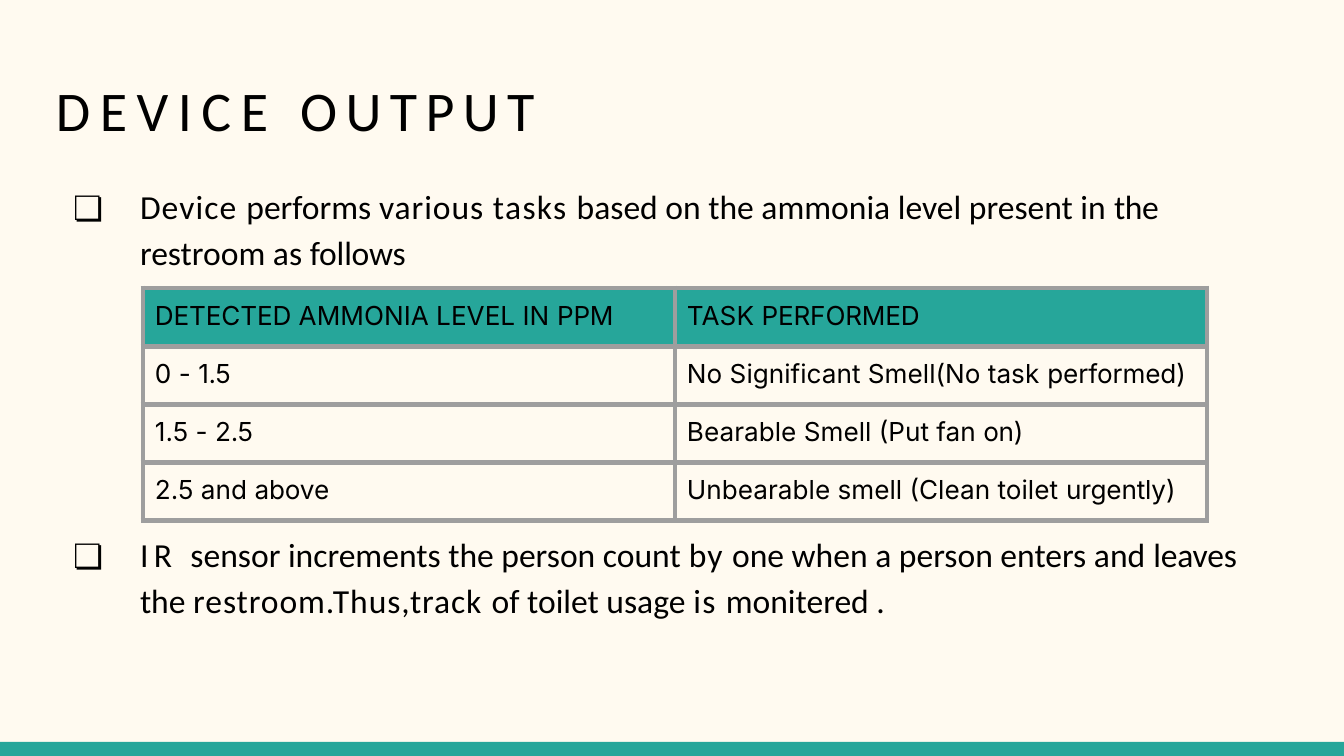
import pptx
import pptx.dml.color
import pptx.enum.shapes
import pptx.enum.text
import pptx.oxml.ns
import pptx.util
import lxml.etree

SLIDE_WIDTH, SLIDE_HEIGHT = 1344, 756
EMU_PER_PX = 9144000 / SLIDE_WIDTH
COLORS = {"cream": "FFFAF0", "teal": "26A69A", "border": "9E9E9E", "text": "000000"}

TITLE = [("DEVICE ", 5.1), ("OUTPUT", 4.5)]
AMMONIA_POINT = [
    ("Device ", 0.6), ("performs ", 0), ("various ", 0.5), ("tasks ", 0.7),
    ("based on the ammonia level present in ", 0), ("the ", -0.2),
    ("restroom as ", 0), ("follows", -0.1),
]
SENSOR_POINT = [
    ("IR ", 2.9), ("sensor increments the person count ", 0), ("by ", 0.5),
    ("one when a person enters and ", 0), ("leaves ", -0.1), ("the ", 0),
    ("restroom.Thus,track ", 0.5), ("of toilet usage ", 0), ("is ", 0.7),
    ("monitered .", 0),
]
TASK_ROWS = [
    [[("DETECTED ", -0.1), ("AMMONIA LEVEL IN ", 0), ("PPM", -0.2)],
     [("TASK ", 0), ("PERFORMED", -0.1)]],
    [[("0 - ", 0), ("1.5", -0.2)],
     [("No Significant Smell(No task ", 0), ("performed)", -0.1)]],
    [[("1.5 - ", 0), ("2.5", -0.2)],
     [("Bearable Smell (Put fan", 0), (" on)", -0.2)]],
    [[("2.5 and ", 0), ("above", -0.1)],
     [("Unbearable smell (Clean toilet ", 0), ("urgently)", -0.1)]],
]


def px(length):
    return pptx.util.Emu(round(length * EMU_PER_PX))


def color(name):
    return pptx.dml.color.RGBColor.from_string(COLORS[name])


def add_runs(paragraph, runs, font_name, size):
    paragraph.alignment = pptx.enum.text.PP_ALIGN.LEFT
    for text, spacing in runs:
        run = paragraph.add_run()
        run.text = text
        run.font.name = font_name
        run.font.size = pptx.util.Pt(size)
        run.font.bold = False
        run.font.color.rgb = color("text")
        run.font._element.set("spc", str(round(spacing * 100)))


def prepare_placeholder(shape, box):
    shape.left, shape.top, shape.width, shape.height = map(px, box)
    frame = shape.text_frame
    frame.margin_left = frame.margin_right = frame.margin_bottom = 0
    frame.margin_top = px(1)
    frame.word_wrap = True
    frame.auto_size = pptx.enum.text.MSO_AUTO_SIZE.NONE
    frame.vertical_anchor = pptx.enum.text.MSO_ANCHOR.TOP
    paragraph = frame.paragraphs[0]
    paragraph.space_before = pptx.util.Pt(1)
    return paragraph


def fill_title(shape, box):
    add_runs(prepare_placeholder(shape, box), TITLE, "Calibri", 30)


def fill_point(shape, box, runs):
    paragraph = prepare_placeholder(shape, box)
    paragraph.line_spacing = 1.15
    add_runs(paragraph, runs, "Calibri", 18)
    properties = paragraph._p.get_or_add_pPr()
    properties.set("marL", str(px(69)))
    properties.set("indent", str(px(-67)))
    for tag, attribute, value in (("a:buFont", "typeface", "Noto Sans CJK SC"),
                                  ("a:buChar", "char", "❏")):
        bullet = lxml.etree.SubElement(properties, pptx.oxml.ns.qn(tag))
        bullet.set(attribute, value)


def add_borders(cell):
    properties = cell._tc.get_or_add_tcPr()
    for side in ("a:lnL", "a:lnR", "a:lnT", "a:lnB"):
        line = lxml.etree.SubElement(properties, pptx.oxml.ns.qn(side))
        line.set("w", str(pptx.util.Pt(3)))
        fill = lxml.etree.SubElement(line, pptx.oxml.ns.qn("a:solidFill"))
        rgb = lxml.etree.SubElement(fill, pptx.oxml.ns.qn("a:srgbClr"))
        rgb.set("val", COLORS["border"])


def add_task_table(slide, box):
    row_count, column_count = len(TASK_ROWS), len(TASK_ROWS[0])
    table = slide.shapes.add_table(row_count, column_count, *map(px, box)).table
    table.first_row = False
    table.horz_banding = False
    for row_index, row in enumerate(TASK_ROWS):
        for column_index, runs in enumerate(row):
            cell = table.cell(row_index, column_index)
            cell.margin_left = cell.margin_top = px(12)
            cell.margin_right = cell.margin_bottom = 0
            add_borders(cell)
            if row_index == 0:
                cell.fill.solid()
                cell.fill.fore_color.rgb = color("teal")
            else:
                cell.fill.background()
            add_runs(cell.text_frame.paragraphs[0], runs, "Inter", 14)


def add_footer_band(slide, box):
    band = slide.shapes.add_shape(
        pptx.enum.shapes.MSO_SHAPE.RECTANGLE, *map(px, box))
    band.shadow.inherit = False
    band.fill.solid()
    band.fill.fore_color.rgb = color("teal")
    band.line.fill.background()


def main():
    presentation = pptx.Presentation()
    presentation.slide_width = px(SLIDE_WIDTH)
    presentation.slide_height = px(SLIDE_HEIGHT)
    two_content_layout = presentation.slide_layouts[3]
    slide = presentation.slides.add_slide(two_content_layout)
    slide.background.fill.solid()
    slide.background.fill.fore_color.rgb = color("cream")

    title, ammonia_body, sensor_body = slide.placeholders
    add_footer_band(slide, (0, 742, SLIDE_WIDTH, 14))
    fill_title(title, (56, 74, 1231, 77))
    fill_point(ammonia_body, (71, 179, 1122, 97), AMMONIA_POINT)
    add_task_table(slide, (143, 288, 1064, 233))
    fill_point(sensor_body, (71, 527, 1208, 97), SENSOR_POINT)
    presentation.save("out.pptx")


if __name__ == "__main__":
    main()
